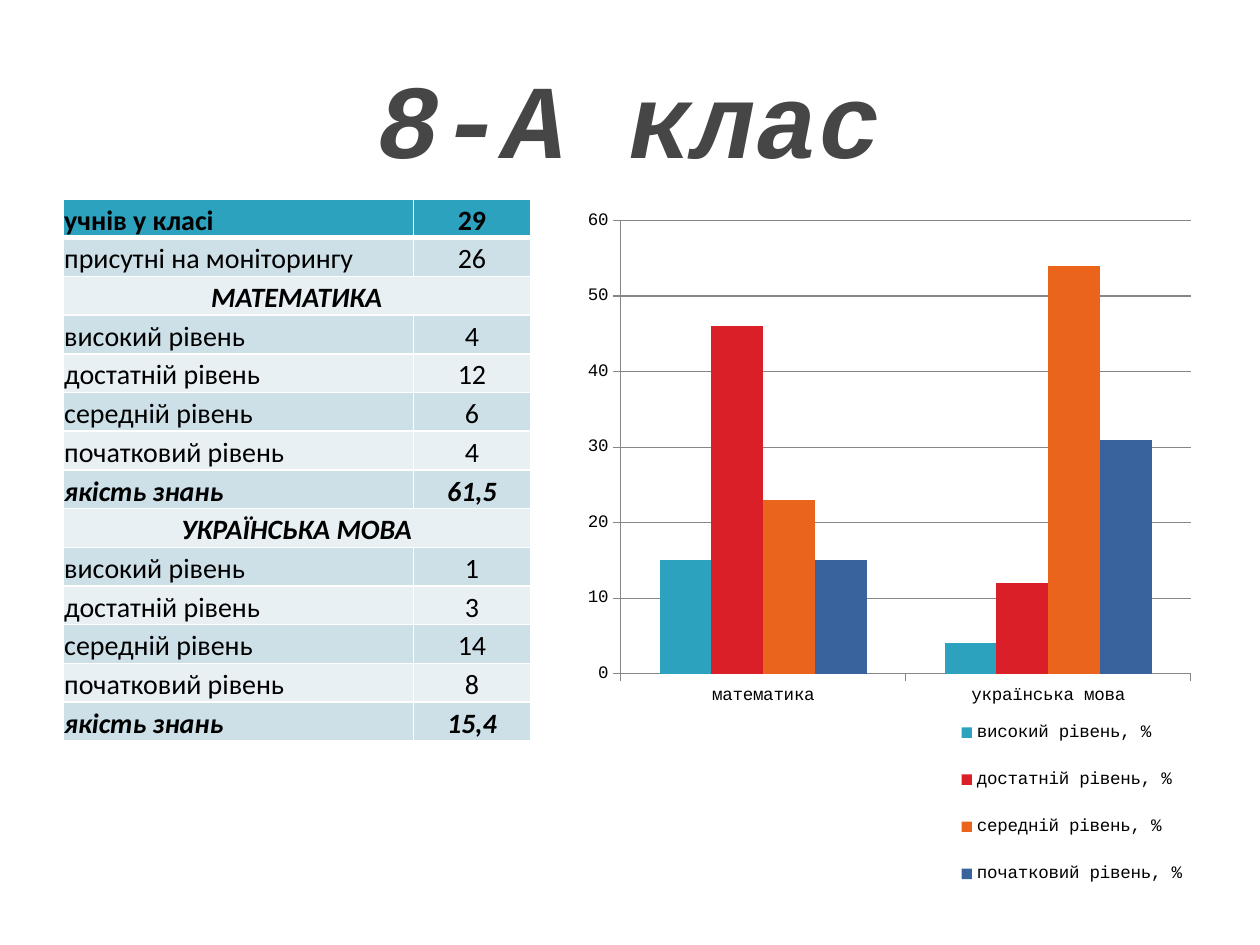
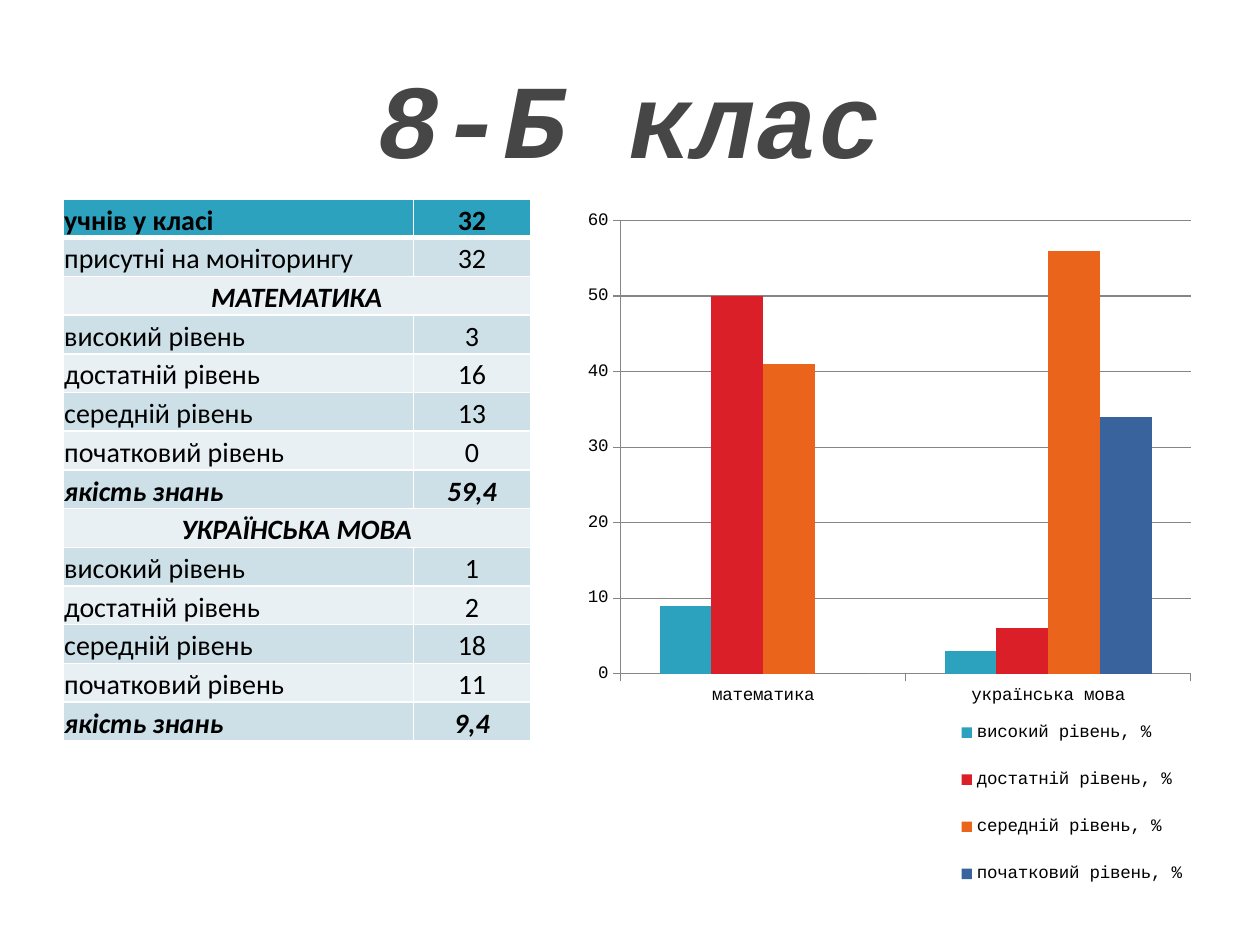
from lxml import etree
from pptx import Presentation, util as u
from pptx.chart import data as cd
from pptx.dml.color import RGBColor
from pptx.enum import chart as ch, text as tx
from pptx.oxml import ns

COLS, ROWS = 10, 7.5  # slide grid
WIDE, HIGH = u.Inches(10), u.Inches(7.5)

HUES = {
    "title": "464646", "text": "000000", "line": "FFFFFF", "axis": "868686",
    "head": "2DA2BF", "odd": "CDE0E8", "even": "E8F0F4",
}
BARS = ["2DA2BF", "DA1F28", "EB641B", "39639D"]
MONO, SANS = "Courier New", "Calibri"

# Boxes in grid columns and rows: left, top, width, height
TITLE = (0.5, 0.3, 9, 1.25)
TABLE = (0.5, 1.58, 3.71, 4.3)
CHART = (4.53, 1.58, 4.97, 5.71)

# Shares of the chart box
PLOT = (0.08, 0.03, 0.91, 0.63)
LEGEND = (0.61, 0.69, 0.38, 0.3)

LEVELS = ["високий рівень", "достатній рівень", "середній рівень", "початковий рівень"]
SUBJECTS = ["математика", "українська мова"]

# Class name, pupils, present, counts by level for each subject
CLASSES = [
    ("8-А клас", 29, 26, [(4, 12, 6, 4), (1, 3, 14, 8)]),
    ("8-Б клас", 32, 32, [(3, 16, 13, 0), (1, 2, 18, 11)]),
]


def rgb(name):
    return RGBColor.from_string(HUES.get(name, name))


def place(box):
    left, top, wide, high = box
    return [u.Emu(int(n)) for n in (left / COLS * WIDE, top / ROWS * HIGH,
                                    wide / COLS * WIDE, high / ROWS * HIGH)]


def style(font, face, size, hue, bold=False, slant=False):
    font.name, font.size = face, u.Pt(size)
    font.bold, font.italic = bold, slant
    font.color.rgb = rgb(hue)


def add_title(slide, box, name):
    frame = slide.shapes.add_textbox(*place(box)).text_frame
    frame.word_wrap = True
    frame.vertical_anchor = tx.MSO_ANCHOR.MIDDLE
    para = frame.paragraphs[0]
    para.text, para.alignment = name, tx.PP_ALIGN.CENTER
    style(para.font, MONO, 60, "title", True, True)


def list_rows(total, present, marks):
    """Return (label, value, bold, italic); a heading has no value."""
    rows = [("учнів у класі", total, True, False),
            ("присутні на моніторингу", present, False, False)]
    for subject, counts in zip(SUBJECTS, marks):
        rows.append((subject.upper(), None, True, True))
        rows += [(level, n, False, False) for level, n in zip(LEVELS, counts)]
        good = f"{sum(counts[:2]) / present * 100:.1f}".replace(".", ",")
        rows.append(("якість знань", good, True, True))
    return rows


def edge(cell, top, bottom):
    """Draw white borders; they stand before the fill in the cell."""
    props = cell._tc.get_or_add_tcPr()
    sides = {"lnL": 1, "lnR": 1, "lnT": top, "lnB": bottom}
    for i, (side, width) in enumerate(sides.items()):
        line = etree.Element(ns.qn("a:" + side), w=str(u.Pt(width)))
        fill = etree.SubElement(line, ns.qn("a:solidFill"))
        etree.SubElement(fill, ns.qn("a:srgbClr"), val=HUES["line"])
        props.insert(i, line)


def add_table(slide, box, rows):
    grid = slide.shapes.add_table(len(rows), 2, *place(box)).table
    grid.first_row = grid.horz_banding = False
    wide = place(box)[2]
    grid.columns[0].width = int(wide * 0.75)
    grid.columns[1].width = wide - grid.columns[0].width
    for r, (label, value, bold, slant) in enumerate(rows):
        if value is None:
            grid.cell(r, 0).merge(grid.cell(r, 1))
        for c, item in enumerate((label, value)):
            cell = grid.cell(r, c)
            cell.fill.solid()
            cell.fill.fore_color.rgb = rgb("head" if r == 0 else "odd" if r % 2 else "even")
            edge(cell, 3 if r == 1 else 1, 3 if r == 0 else 1)
            cell.margin_left = cell.margin_right = cell.margin_top = u.Inches(0.01)
            cell.margin_bottom = 0
            cell.vertical_anchor = tx.MSO_ANCHOR.BOTTOM
            if item is None:
                continue
            para = cell.text_frame.paragraphs[0]
            para.text = str(item)
            if c == 1 or value is None:
                para.alignment = tx.PP_ALIGN.CENTER
            style(para.font, SANS, 16, "text", bold, slant)


def pin(part, index, shares, inner=False):
    """Fix a chart part at shares of the chart box."""
    for old in part.findall(ns.qn("c:layout")):
        part.remove(old)
    layout = etree.Element(ns.qn("c:layout"))
    part.insert(index, layout)
    manual = etree.SubElement(layout, ns.qn("c:manualLayout"))
    pairs = [("layoutTarget", "inner")] if inner else []
    pairs += [("xMode", "edge"), ("yMode", "edge"), *zip("xywh", shares)]
    for tag, val in pairs:
        etree.SubElement(manual, ns.qn("c:" + tag), val=str(val))


def add_chart(slide, box, present, marks):
    data = cd.CategoryChartData()
    data.categories = SUBJECTS
    for level, counts in zip(LEVELS, zip(*marks)):
        data.add_series(level + ", %", [round(n / present * 100) for n in counts])
    kind = ch.XL_CHART_TYPE.COLUMN_CLUSTERED
    chart = slide.shapes.add_chart(kind, *place(box), data).chart
    chart.has_title = False
    style(chart.font, MONO, 10, "text")

    # Columns
    plot = chart.plots[0]
    plot.gap_width, plot.overlap, plot.vary_by_categories = 150, 0, False
    for bar, hue in zip(plot.series, BARS):
        bar.format.fill.solid()
        bar.format.fill.fore_color.rgb = rgb(hue)

    # Axes and grid lines
    scale = chart.value_axis
    scale.minimum_scale, scale.maximum_scale, scale.major_unit = 0, 60, 10
    scale.has_major_gridlines = True
    for axis in (scale, chart.category_axis):
        axis.major_tick_mark = ch.XL_TICK_MARK.OUTSIDE
    for part in (scale, chart.category_axis, scale.major_gridlines):
        part.format.line.color.rgb = rgb("axis")
        part.format.line.width = u.Pt(0.75)

    # Legend and layout
    chart.has_legend = True
    chart.legend.position = ch.XL_LEGEND_POSITION.RIGHT
    chart.legend.include_in_layout = False
    pin(chart.legend._element, 1, LEGEND)
    pin(chart._chartSpace.chart.plotArea, 0, PLOT, True)


def add_class(deck, name, total, present, marks):
    slide = deck.slides.add_slide(deck.slide_layouts[6])
    add_title(slide, TITLE, name)
    add_table(slide, TABLE, list_rows(total, present, marks))
    add_chart(slide, CHART, present, marks)


def main():
    deck = Presentation()
    deck.slide_width, deck.slide_height = WIDE, HIGH
    for group in CLASSES:
        add_class(deck, *group)
    deck.save("out.pptx")


if __name__ == "__main__":
    main()
